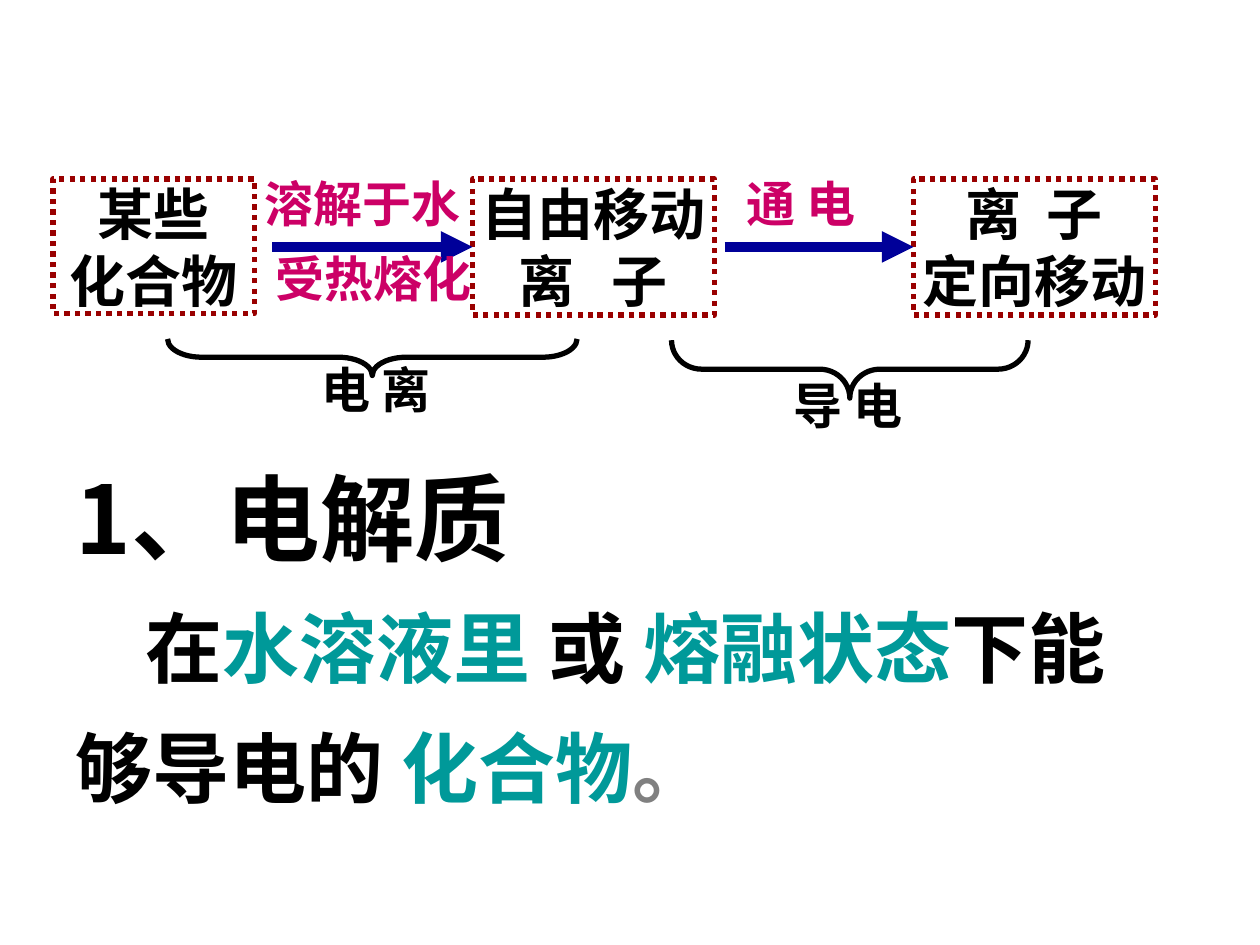
from pptx import Presentation
from pptx.dml.color import RGBColor
from pptx.enum.dml import MSO_LINE
from pptx.enum.shapes import MSO_CONNECTOR, MSO_SHAPE
from pptx.enum.text import MSO_ANCHOR, PP_ALIGN
from pptx.oxml.ns import qn
from pptx.util import Inches, Pt
from lxml.etree import SubElement

COLORS = {"text": "000000", "border": "990000", "arrow": "000099",
          "condition": "CC0066", "key": "009999", "stop": "808080"}
SC, JP = "Noto Sans CJK SC", "Noto Sans CJK JP"


def rgb(name):
    return RGBColor.from_string(COLORS[name])


def add_run(p, text, size=28, color="text", font=SC, spacing=0):
    """Add a bold run; spacing is extra points between characters."""
    r = p.add_run()
    r.text = text
    r.font.size, r.font.bold, r.font.name = Pt(size), True, font
    r.font.color.rgb = rgb(color)
    SubElement(r.font._element, qn("a:ea")).set("typeface", JP if font == JP else SC)
    if spacing:
        r.font._element.set("spc", str(int(spacing * 100)))


def add_label(slide, box, text, align=PP_ALIGN.LEFT, anchor=MSO_ANCHOR.TOP,
              wrap=True, **fmt):
    tf = slide.shapes.add_textbox(*map(Inches, box)).text_frame
    tf.word_wrap, tf.vertical_anchor = wrap, anchor
    p = tf.paragraphs[0]
    p.alignment = align
    add_run(p, text, **fmt)


def add_stage(slide, box, lines):
    """Add a dotted box; lines holds (text, character spacing) pairs."""
    s = slide.shapes.add_shape(MSO_SHAPE.RECTANGLE, *map(Inches, box))
    s.shadow.inherit = False
    s.fill.background()
    s.line.color.rgb = rgb("border")
    s.line.width = Pt(3)
    s.line.dash_style = MSO_LINE.ROUND_DOT
    tf = s.text_frame
    tf.word_wrap, tf.vertical_anchor = False, MSO_ANCHOR.MIDDLE
    for i, (text, spacing) in enumerate(lines):
        p = tf.add_paragraph() if i else tf.paragraphs[0]
        p.alignment = PP_ALIGN.CENTER
        add_run(p, text, size=32, font=JP, spacing=spacing)
    return s


def add_arrow(slide, x, y, target):
    """Draw an arrow from (x, y) to the left side of the target box."""
    c = slide.shapes.add_connector(MSO_CONNECTOR.STRAIGHT, Inches(x), Inches(y),
                                   target.left, Inches(y))
    c.end_connect(target, 1)
    c.line.color.rgb = rgb("arrow")
    c.line.width = Pt(6)
    SubElement(c.line._get_or_add_ln(), qn("a:tailEnd")).set("type", "triangle")
    SubElement(c._element.spPr, qn("a:effectLst"))


def add_brace(slide, box, curve):
    """Draw a brace that fills the box and points down."""
    x, y, w, h = box
    s = slide.shapes.add_shape(MSO_SHAPE.LEFT_BRACE, Inches(x + (w - h) / 2),
                               Inches(y + (h - w) / 2), Inches(h), Inches(w))
    s.rotation = 270
    s.adjustments[0] = curve
    s.shadow.inherit = False
    s.fill.background()
    s.line.color.rgb = rgb("text")
    s.line.width = Pt(3)


def add_process(slide, x, y):
    """Place the three stages, their arrows and the braces below."""
    add_stage(slide, (x, y, 1.6, 1.07), [("某些", 0), ("化合物", 0)])
    ions = add_stage(slide, (x + 3.33, y, 1.92, 1.08), [("自由移动", 0), ("离 子", 7)])
    moving = add_stage(slide, (x + 6.83, y, 1.92, 1.08), [("离 子", 3.6), ("定向移动", 0)])

    add_arrow(slide, x + 1.74, y + 0.54, ions)
    add_arrow(slide, x + 5.33, y + 0.54, moving)
    add_label(slide, (x + 1.58, y - 0.09, 1.91, 0.57), "溶解于水",
              color="condition", font="Roboto")
    add_label(slide, (x + 5.41, y - 0.09, 1.14, 0.57), "通 电",
              color="condition", font="Roboto")
    add_label(slide, (x + 1.67, y + 0.5, 1.75, 0.57), "受热熔化", wrap=False,
              color="condition", font="Times New Roman")

    add_brace(slide, (x + 0.91, y + 1.27, 3.25, 0.29), 0.93)
    add_label(slide, (x + 1.89, y + 1.35, 1.35, 0.64), "电 离",
              align=PP_ALIGN.CENTER, anchor=MSO_ANCHOR.MIDDLE, wrap=False)
    add_brace(slide, (x + 4.91, y + 1.28, 2.83, 0.46), 0.52)
    add_label(slide, (x + 5.78, y + 1.51, 1.27, 0.57), "导 电")


def add_definition(slide, box):
    tf = slide.shapes.add_textbox(*map(Inches, box)).text_frame
    tf.word_wrap = True
    title, body = tf.paragraphs[0], tf.add_paragraph()
    title.line_spacing = body.line_spacing = 1.3
    add_run(title, "1、电解质", size=54)
    body._p.get_or_add_pPr().set("indent", str(Inches(0.56)))
    for text, color in [("在", "text"), ("水溶液里 ", "key"), ("或 ", "text"),
                        ("熔融状态", "key"), ("下能够导电的 ", "text"),
                        ("化合物", "key"), ("。", "stop")]:
        add_run(body, text, size=44, color=color)


def main():
    prs = Presentation()
    prs.slide_width, prs.slide_height = Inches(10), Inches(7.5)
    slide = prs.slides.add_slide(prs.slide_layouts[6])
    add_process(slide, 0.42, 1.42)
    add_definition(slide, (0.5, 3.33, 8.83, 3.18))
    prs.save("out.pptx")


if __name__ == "__main__":
    main()
